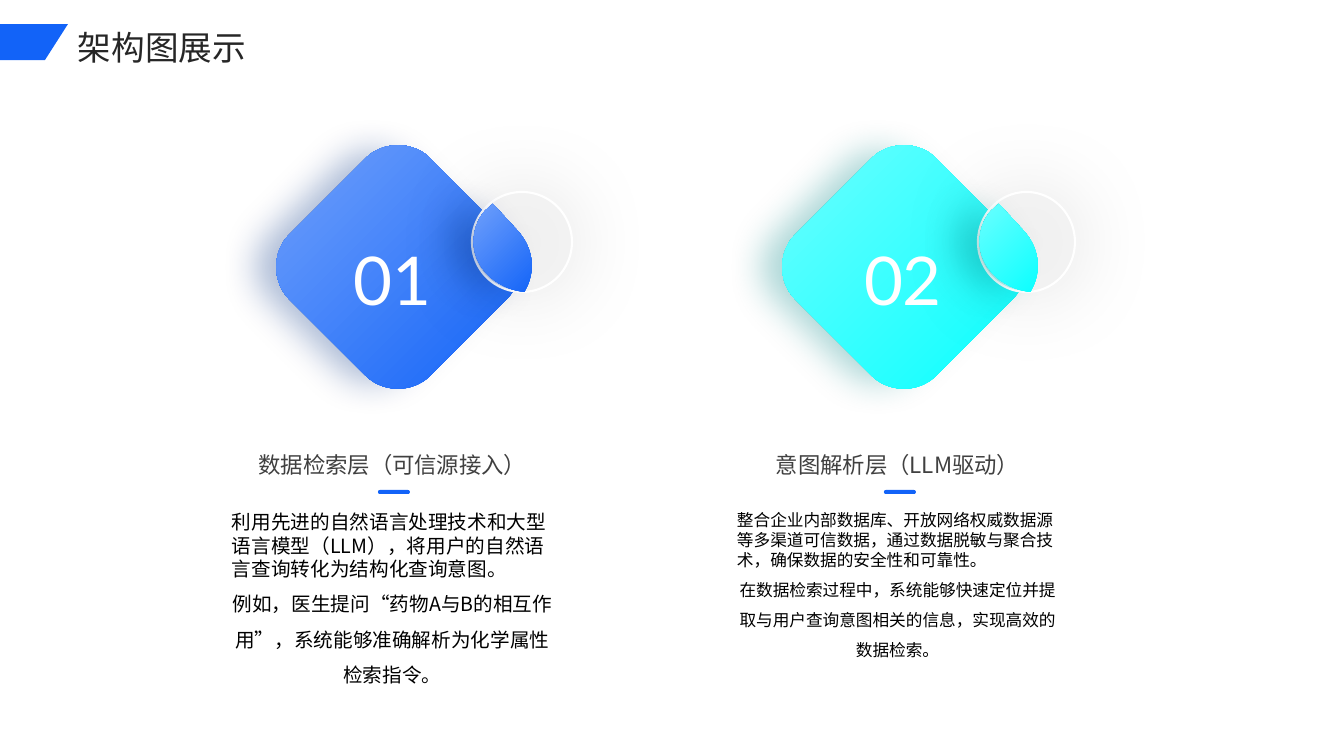
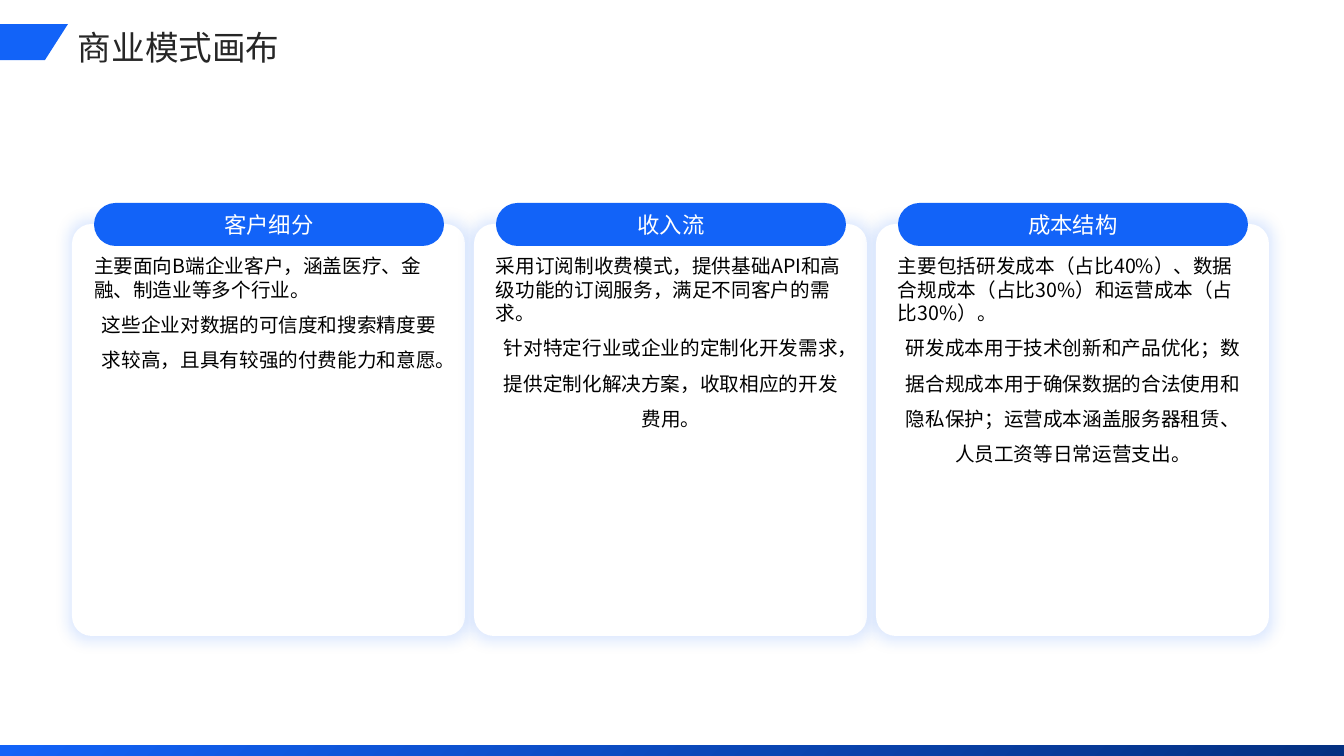
from lxml.etree import SubElement
from pptx import Presentation
from pptx.dml.color import RGBColor
from pptx.enum.shapes import MSO_SHAPE
from pptx.enum.text import MSO_ANCHOR, MSO_AUTO_SIZE, PP_ALIGN
from pptx.oxml.ns import qn
from pptx.util import Emu, Pt

COLORS = {
    "blue": "1263F8", "light blue": "71A1FB", "navy": "043081",
    "cyan": "09FFFF", "light cyan": "6BFFFF", "teal": "008484",
    "white": "FFFFFF", "black": "000000", "glass": "F2F2F2",
    "title": "262626", "heading": "404040",
}
CHINESE, LATIN = "Noto Sans CJK SC", "Lato"
PAGE_WIDTH, PAGE_HEIGHT = 1344, 756

LAYERS_TITLE = "架构图展示"
LAYERS = [
    dict(number="01", heading="数据检索层（可信源接入）", size=14,
         colors=("blue", "light blue"), shadow="navy", text_left=222,
         number_left=313, circle_left=472, circle_width=100,
         body="利用先进的自然语言处理技术和大型语言模型（LLM），将用户的自然语言查询转化为结构化查询意图。\n"
              "例如，医生提问“药物A与B的相互作用”，系统能够准确解析为化学属性检索指令。"),
    dict(number="02", heading="意图解析层（LLM驱动）", size=11.9,
         colors=("cyan", "light cyan"), shadow="teal", text_left=727,
         number_left=824, circle_left=978, circle_width=97,
         body="整合企业内部数据库、开放网络权威数据源等多渠道可信数据，通过数据脱敏与聚合技术，确保数据的安全性和可靠性。\n"
              "在数据检索过程中，系统能够快速定位并提取与用户查询意图相关的信息，实现高效的数据检索。"),
]
LAYER_PITCH = 506

CANVAS_TITLE = "商业模式画布"
CARDS = [
    ("客户细分",
     "主要面向B端企业客户，涵盖医疗、金融、制造业等多个行业。\n"
     "这些企业对数据的可信度和搜索精度要求较高，且具有较强的付费能力和意愿。"),
    ("收入流",
     "采用订阅制收费模式，提供基础API和高级功能的订阅服务，满足不同客户的需求。\n"
     "针对特定行业或企业的定制化开发需求，提供定制化解决方案，收取相应的开发费用。"),
    ("成本结构",
     "主要包括研发成本（占比40%）、数据合规成本（占比30%）和运营成本（占比30%）。\n"
     "研发成本用于技术创新和产品优化；数据合规成本用于确保数据的合法使用和隐私保护；"
     "运营成本涵盖服务器租赁、人员工资等日常运营支出。"),
]
CARD_LEFT, CARD_PITCH = 72, 402

# A two-number entry is a point, a six-number entry a Bézier curve.
TITLE_MARK = [(0, 24), (68, 24), (45, 60), (0, 60)]
FOOTER = [(0, 745), (PAGE_WIDTH, 745), (PAGE_WIDTH, PAGE_HEIGHT), (0, PAGE_HEIGHT)]
# Both outlines below are measured from the centre of the diamond.
DIAMOND_CORNER = [(-32, -109), (-15, -126, 15, -126, 32, -109)]
LENS = [(95, -63), (119, -37), (136, -19, 138, 5, 127, 24), (127, 25),
        (96, 22, 73, -3, 76, -30), (77, -40, 81, -50, 88, -57)]


def px(length):
    return Emu(round(length * 914400 / 100.8))


def rgb(name):
    return RGBColor.from_string(COLORS[name])


def pairs(entry):
    return list(zip(entry[::2], entry[1::2]))


def diamond_outline():
    """Repeat the rounded top corner at each quarter turn."""
    outline, corner = [], DIAMOND_CORNER
    for _ in range(4):
        outline += corner
        corner = [tuple(value for x, y in pairs(entry) for value in (-y, x))
                  for entry in corner]
    return outline


def paint(shape, fill, angle=None, alpha=None, line=None, shadow=None):
    """Fill is a colour name, or a pair of them for a gradient at a counter-clockwise angle."""
    if angle is None:
        shape.fill.solid()
        shape.fill.fore_color.rgb = rgb(fill)
    else:
        shape.fill.gradient()
        shape.fill.gradient_angle = angle
        for stop, name, position in zip(shape.fill.gradient_stops, fill, (0, 1)):
            stop.color.rgb = rgb(name)
            stop.position = position
    if alpha:
        color = shape._element.spPr.find(qn("a:solidFill"))[0]
        SubElement(color, qn("a:alpha"), val=str(alpha * 1000))
    if line:
        shape.line.color.rgb = rgb(line)
        shape.line.width = Pt(1.5)
    else:
        shape.line.fill.background()
    shape.shadow.inherit = False
    if shadow:
        add_shadow(shape, *shadow)
    return shape


def add_shadow(shape, name, opacity, blur, distance, direction, scale):
    effects = shape._element.spPr.find(qn("a:effectLst"))
    outer = SubElement(effects, qn("a:outerShdw"), blurRad=str(Pt(blur)),
                       dist=str(Pt(distance)), dir=str(direction * 60000),
                       sx=str(scale * 1000), sy=str(scale * 1000),
                       algn="ctr", rotWithShape="0")
    color = SubElement(outer, qn("a:srgbClr"), val=COLORS[name])
    SubElement(color, qn("a:alpha"), val=str(opacity * 1000))


def add_preset(page, kind, left, top, width, height, fill, corner=None, **look):
    shape = page.shapes.add_shape(kind, px(left), px(top), px(width), px(height))
    if corner is not None:
        shape.adjustments[0] = corner
    return paint(shape, fill, **look)


def add_outline(page, outline, fill, origin=(0, 0), **look):
    """Draw straight segments, then join each curve's three segments into a Bézier."""
    points = [(px(origin[0] + x), px(origin[1] + y))
              for entry in outline for x, y in pairs(entry)]
    builder = page.shapes.build_freeform(*points[0])
    builder.add_line_segments(points[1:], close=True)
    shape = builder.convert_to_shape()
    segments = iter(list(shape._element.iter(qn("a:lnTo"))))
    for entry in outline[1:]:
        first = next(segments)
        if len(entry) == 6:
            first.tag = qn("a:cubicBezTo")
            for segment in (next(segments), next(segments)):
                first.append(segment[0])
                segment.getparent().remove(segment)
    return paint(shape, fill, **look)


def add_text(page, left, top, width, height, text, size, color, font=CHINESE,
             align=PP_ALIGN.CENTER, spacing=1.0, anchor=MSO_ANCHOR.TOP, inset=(0, 0)):
    box = page.shapes.add_textbox(px(left), px(top), px(width), px(height))
    frame = box.text_frame
    frame.word_wrap = True
    frame.vertical_anchor = anchor
    frame.margin_left = frame.margin_right = px(inset[0])
    frame.margin_top = frame.margin_bottom = px(inset[1])
    para = frame.paragraphs[0]
    para.alignment = align
    para.line_spacing = spacing
    span = para.add_run()
    span.text = text
    span.font.size = Pt(size)
    span.font.color.rgb = rgb(color)
    span.font.name = font
    SubElement(span._r.get_or_add_rPr(), qn("a:ea"), typeface=font)
    return box


def add_page(deck, title):
    page = deck.slides.add_slide(deck.slide_layouts[6])
    add_outline(page, TITLE_MARK, "blue")
    box = add_text(page, 68, 18, 1180, 46, title, size=24, color="title",
                   align=PP_ALIGN.LEFT, spacing=1.1, inset=(10, 5))
    box.text_frame.auto_size = MSO_AUTO_SIZE.SHAPE_TO_FIT_TEXT
    return page


def add_layer(page, index, layer):
    shift = index * LAYER_PITCH
    left = layer["text_left"]
    look = dict(fill=layer["colors"], angle=135, origin=(398 + shift, 267),
                shadow=(layer["shadow"], 32, 26, 19, 180, 95))
    add_outline(page, diamond_outline(), **look)
    add_preset(page, MSO_SHAPE.OVAL, layer["circle_left"], 192, layer["circle_width"], 100,
               "glass", alpha=70, line="white", shadow=("black", 15, 62, 0, 0, 105))
    add_outline(page, LENS, **look)
    add_preset(page, MSO_SHAPE.ROUNDED_RECTANGLE, 378 + shift, 490, 32, 4, "blue", corner=0.5)
    add_text(page, left, 419, 341, 63, layer["heading"], size=16, color="heading",
             spacing=1.3, anchor=MSO_ANCHOR.BOTTOM, inset=(7, 4))
    add_text(page, left, 505, 341, 190, layer["body"], size=layer["size"], color="black",
             spacing=1.5, inset=(10, 5))
    add_text(page, layer["number_left"], 211, 158, 112, layer["number"], size=48,
             color="white", font=LATIN, spacing=1.3, anchor=MSO_ANCHOR.MIDDLE, inset=(7, 4))


def add_card(page, index, heading, body):
    left = CARD_LEFT + index * CARD_PITCH
    inner = left + 22
    add_preset(page, MSO_SHAPE.ROUNDED_RECTANGLE, left, 224, 393, 412, "white",
               corner=0.05, shadow=("blue", 15, 10, 0, 0, 102))
    add_text(page, inner, 254, 350, 363, body, size=14, color="black", spacing=1.5)
    add_preset(page, MSO_SHAPE.ROUNDED_RECTANGLE, inner, 203, 350, 43, "blue", corner=0.5)
    add_text(page, inner, 209, 350, 30, heading, size=16, color="white", spacing=1.1)


def main():
    deck = Presentation()
    deck.slide_width, deck.slide_height = px(PAGE_WIDTH), px(PAGE_HEIGHT)

    page = add_page(deck, LAYERS_TITLE)
    for index, layer in enumerate(LAYERS):
        add_layer(page, index, layer)

    page = add_page(deck, CANVAS_TITLE)
    add_outline(page, FOOTER, ("blue", "navy"), angle=315)
    for index, (heading, body) in enumerate(CARDS):
        add_card(page, index, heading, body)

    deck.save("out.pptx")


if __name__ == "__main__":
    main()
